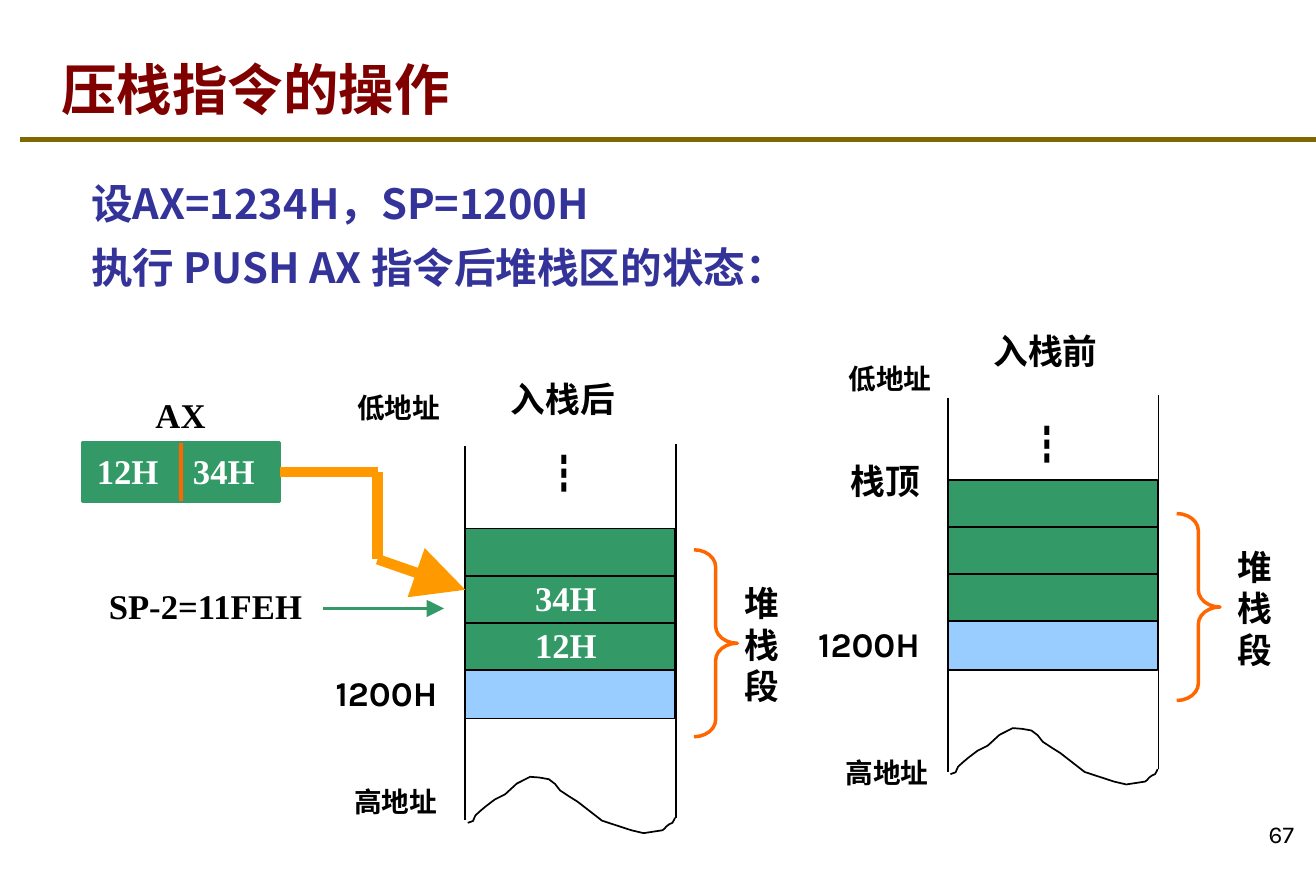
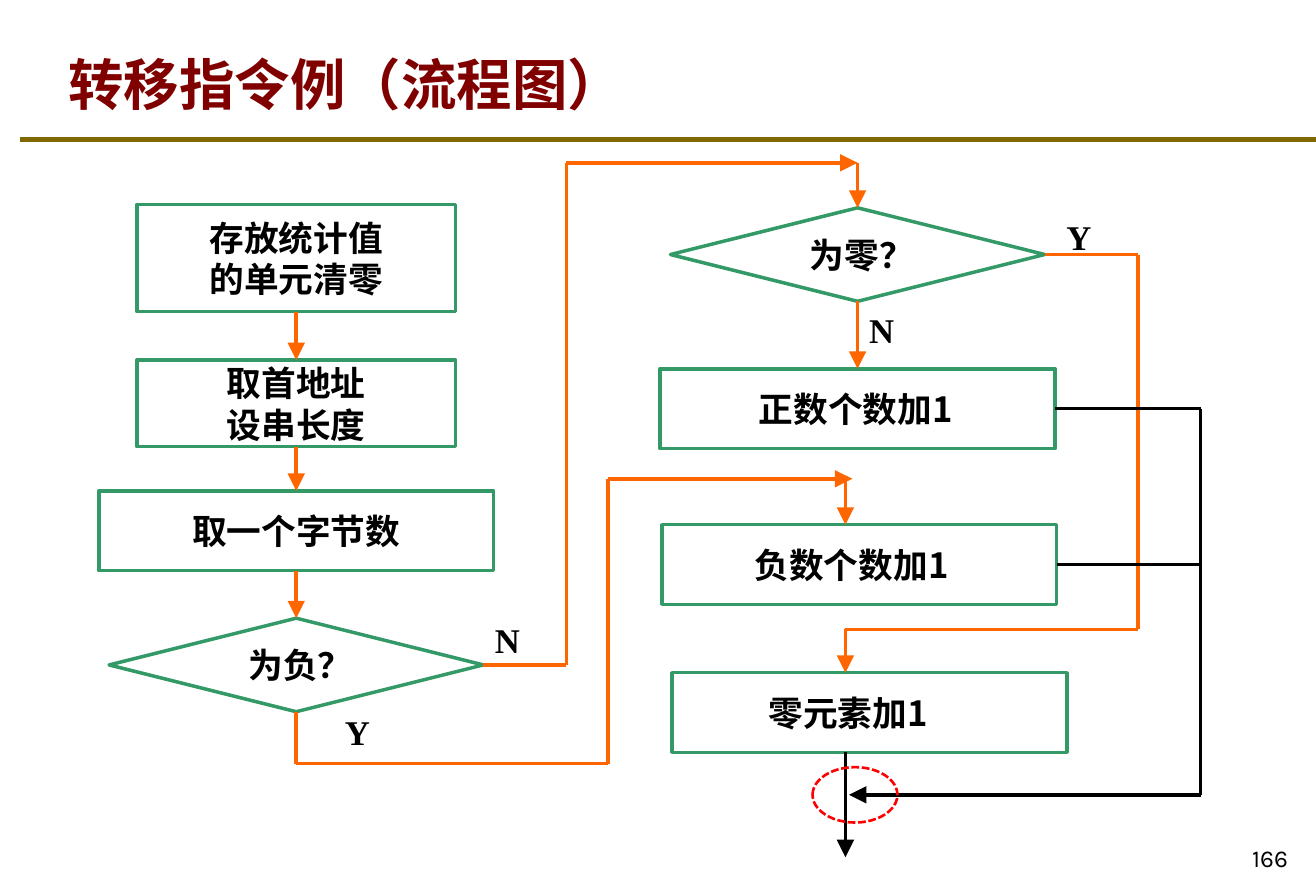
from itertools import pairwise

from pptx import Presentation
from pptx import util as u
from pptx.dml.color import RGBColor
from pptx.enum import dml, shapes, text
from pptx.oxml.xmlchemy import OxmlElement

COLORS = {
    "rule": "806800", "title": "800000", "body": "333399", "black": "000000",
    "white": "FFFFFF", "green": "339966", "blue": "99CCFF", "orange": "FF6600",
    "amber": "FF9900", "red": "FF0000",
}
CHINESE, LATIN, SERIF = "Noto Sans CJK SC", "Karla", "Times New Roman"
SHAPE, ALIGN, ANCHOR = shapes.MSO_SHAPE, text.PP_ALIGN, text.MSO_ANCHOR

# Torn lower edge of a stack, relative to its top cell:
# the start, then cubic curves (two controls and an end point)
TORN_START = (1.4, 169.9)
TORN_CURVES = [
    ((9.4, 167), (0, 171.4), (5.8, 165.6)),
    ((7.2, 163.4), (10.1, 162.7), (11.5, 160.6)),
    ((15.1, 157.7), (18.7, 154.8), (23, 153.4)),
    ((27.4, 148.3), (31.7, 145.4), (37.4, 143.3)),
    ((41, 144), (44.6, 143.3), (48.2, 144.7)),
    ((50.4, 144.7), (53.3, 149.8), (54.7, 151.2)),
    ((59.8, 154.8), (60.5, 154.8), (64.8, 157.7)),
    ((73.4, 167), (83.5, 172.1), (95.8, 174.2)),
    ((103, 176.4), (101.5, 176.4), (113.8, 174.2)),
    ((115.2, 173.5), (115.2, 172.8), (115.9, 172.1)),
    ((117.4, 170.6), (118.1, 170.6), (119.5, 169.9)),
    ((120.2, 169.2), (121, 167), (121, 167)),
]


def rgb(name):
    return RGBColor.from_string(COLORS[name])


def points(*lengths):
    return [u.Pt(length) for length in lengths]


def curve_points(start, curves, steps=2):
    """Points along a chain of cubic curves."""
    result = [start]
    for first, second, end in curves:
        begin = result[-1]
        for step in range(1, steps + 1):
            t = step / steps
            weights = ((1 - t) ** 3, 3 * t * (1 - t) ** 2, 3 * t * t * (1 - t), t ** 3)
            corners = (begin, first, second, end)
            result.append(tuple(sum(w * c[axis] for w, c in zip(weights, corners))
                                for axis in (0, 1)))
    return result


def add_tab_stop(paragraph, position):
    stops, stop = OxmlElement("a:tabLst"), OxmlElement("a:tab")
    stop.set("pos", str(u.Pt(position)))
    stop.set("algn", "l")
    stops.append(stop)
    paragraph._p.get_or_add_pPr().append(stops)


def write(shape, content, font=CHINESE, size=20, color="black", bold=True,
          align=ALIGN.LEFT, anchor=ANCHOR.TOP, margins=(7.2, 3.6, 7.2, 3.6),
          line=None, before=0, tab=None):
    """Fill a shape with text, one paragraph per line of content."""
    frame = shape.text_frame
    frame.word_wrap = True
    frame.vertical_anchor = anchor
    left, top, right, bottom = margins
    if font == CHINESE:
        line = line or 1.2 * size
    frame.margin_left, frame.margin_top = points(left, top)
    frame.margin_right, frame.margin_bottom = points(right, bottom)
    for index, words in enumerate(content.split("\n")):
        paragraph = frame.add_paragraph() if index else frame.paragraphs[0]
        paragraph.alignment = align
        if line:
            paragraph.line_spacing = u.Pt(line)
        if index:
            paragraph.space_before = u.Pt(before)
        if tab:
            add_tab_stop(paragraph, tab)
        run = paragraph.add_run()
        run.text = words
        run.font.name = font
        run.font.size = u.Pt(size)
        run.font.bold = bold
        run.font.color.rgb = rgb(color)
        east_asian = OxmlElement("a:ea")
        east_asian.set("typeface", font)
        run.font._element.append(east_asian)


class Deck:
    """Shared style and the slide being drawn."""

    def __init__(self):
        self.presentation = Presentation()
        self.presentation.slide_width = u.Pt(759.6)
        self.presentation.slide_height = u.Pt(510.48)
        self.slide = None

    def new_slide(self, title, title_at, number, number_at):
        layout = self.presentation.slide_layouts[6]
        self.slide = self.presentation.slides.add_slide(layout)
        self.line((11.5, 80.5), (759.6, 80.5), "rule", 3)
        self.text(title, *title_at, 647, 57, size=32, color="title",
                  anchor=ANCHOR.BOTTOM)
        self.text(number, *number_at, 48, 34, font=LATIN, size=14, bold=False,
                  align=ALIGN.RIGHT, anchor=ANCHOR.BOTTOM)

    def text(self, content, left, top, width, height, **style):
        box = self.slide.shapes.add_textbox(*points(left, top, width, height))
        write(box, content, **style)

    def outline(self, shape, color, width, fill=None):
        shape.shadow.inherit = False
        if fill:
            shape.fill.solid()
            shape.fill.fore_color.rgb = rgb(fill)
        else:
            shape.fill.background()
        shape.line.color.rgb = rgb(color)
        shape.line.width = u.Pt(width)

    def shape(self, kind, left, top, width, height, color, line_width, fill=None):
        shape = self.slide.shapes.add_shape(kind, *points(left, top, width, height))
        self.outline(shape, color, line_width, fill)
        return shape

    def line(self, start, end, color, width, arrow=False):
        """Each end is (x, y), or (shape, side) to join a shape."""
        joined = [not isinstance(place[0], (int, float)) for place in (start, end)]
        places = [(0, 0) if join else place
                  for join, place in zip(joined, (start, end))]
        connector = self.slide.shapes.add_connector(
            shapes.MSO_CONNECTOR.STRAIGHT, *points(*places[0], *places[1]))
        if joined[0]:
            connector.begin_connect(*start)
        if joined[1]:
            connector.end_connect(*end)
        connector.line.color.rgb = rgb(color)
        connector.line.width = u.Pt(width)
        if arrow:
            tail = OxmlElement("a:tailEnd")
            for name, value in (("type", "triangle"), ("w", "lg"), ("len", "lg")):
                tail.set(name, value)
            connector.line._get_or_add_ln().append(tail)
        connector._element.spPr.append(OxmlElement("a:effectLst"))

    def route(self, *places, color="orange", width=2, arrow=True):
        """A chain of lines, with an arrowhead on the last one."""
        legs = list(pairwise(places))
        for index, (start, end) in enumerate(legs):
            self.line(start, end, color, width, arrow and index == len(legs) - 1)

    def curve(self, left, top, start, curves):
        outline_points = [(u.Pt(left + x), u.Pt(top + y))
                          for x, y in curve_points(start, curves)]
        builder = self.slide.shapes.build_freeform(*outline_points[0])
        builder.add_line_segments(outline_points[1:], close=False)
        self.outline(builder.convert_to_shape(), "black", 1)

    def stack(self, caption, left, top, contents, label_shift, brace_top, name_left):
        """A stack segment; left and top place its first cell."""
        for index, content in enumerate(contents):
            cell = self.shape(SHAPE.RECTANGLE, left, top + 27.2 * index, 121, 28,
                              "black", 1, "blue" if index == 3 else "green")
            if content:
                write(cell, content, font=SERIF, color="white", align=ALIGN.CENTER,
                      anchor=ANCHOR.MIDDLE, margins=(0, 0, 5, 3))
        self.line((left, top - 47.5), (left, top + 168.5), "black", 1)
        self.line((left + 121.5, top - 49), (left + 121.5, top + 167), "black", 1)
        self.curve(left, top, TORN_START, TORN_CURVES)
        brace = self.shape(SHAPE.RIGHT_BRACE, left + 132, top + brace_top, 25, 108,
                           "orange", 2)
        brace.adjustments[0] = 0.396
        # Labels around the segment
        shift_x, shift_y = label_shift
        self.text(caption, left + 19.2, top - 90.5, 89, 32)
        self.text("┇", left + 38.2, top - 38.9 + shift_y, 50, 36, size=24, bold=False)
        self.text("堆栈段", left + name_left, top + brace_top + 15, 38, 80)
        self.text("1200H", left - 82, top + 79, 87, 32, font=LATIN)
        for label, x, y in (("低地址", -64.4, -72), ("高地址", -66.2, 155.5)):
            self.text(label, left + x + shift_x, top + y + shift_y, 66, 27, size=16)

    def step(self, content, left, top, width, height, kind=SHAPE.RECTANGLE, shift=0):
        """A flowchart step; shift moves its text to the right."""
        shape = self.shape(kind, left, top, width, height, "green", 2)
        write(shape, content, align=ALIGN.CENTER, anchor=ANCHOR.MIDDLE,
              margins=(max(2 * shift, 0), 0, max(-2 * shift, 0), 0))
        return shape


def push_slide(deck):
    deck.new_slide("压栈指令的操作", (28.4, 16.9), "67", (706, 459.4))
    deck.text("设AX=1234H，SP=1200H\n执行 PUSH AX 指令后堆栈区的状态：",
              45.6, 97.2, 510, 91, size=24, color="body", line=31, before=6)

    # Stack before and after the push
    deck.stack("入栈前", 547.2, 277.2, [""] * 4, (0, 0), 19.4, 160.2)
    deck.stack("入栈后", 268.6, 305.3, ["", "34H", "12H", ""], (-5, -11), 12.2, 154)
    deck.text("栈顶", 484, 262, 66, 32)

    # Register AX and its way into the stack
    register = deck.shape(SHAPE.RECTANGLE, 47.5, 255.6, 114, 34, "green", 2, "green")
    deck.line((104.4, 255.6), (104.4, 289.6), "orange", 2)
    deck.text("12H\t34H", 48.8, 256.3, 122, 32, font=SERIF, color="white", tab=55.5)
    deck.text("AX", 72.7, 224, 63, 32, font=SERIF, align=ALIGN.CENTER)
    deck.route((register, 3), (218, 272.6), (218, 323), (268.6, 340.6),
               color="amber", width=6)

    # Stack pointer
    deck.text("SP-2=11FEH", 55.7, 334, 145, 32, font=SERIF)
    deck.line((186.5, 351.4), (256.3, 351.4), "green", 2, arrow=True)


def flowchart_slide(deck):
    deck.new_slide("转移指令例（流程图）", (32.4, 13.7), "166", (702.5, 473.4))

    # Steps
    clear = deck.step("存放统计值\n的单元清零", 79, 118, 184, 62)
    setup = deck.step("取首地址\n设串长度", 79, 208, 184, 50)
    fetch = deck.step("取一个字节数", 57, 283.5, 228, 46)
    negative = deck.step("为负？", 63, 357, 216, 54, SHAPE.FLOWCHART_DECISION, 2.5)
    zero = deck.step("为零？", 387, 120, 216, 54, SHAPE.FLOWCHART_DECISION, 2.5)
    count_positive = deck.step("正数个数加1", 381, 213, 228, 46, shift=-1)
    count_negative = deck.step("负数个数加1", 382, 303, 228, 46, shift=-4.5)
    deck.step("零元素加1", 388, 388.5, 228, 46, shift=-12.5)

    # Main flow and branches
    for upper, lower in ((clear, setup), (setup, fetch), (fetch, negative),
                         (zero, count_positive)):
        deck.route((upper, 2), (lower, 0))
    deck.route((negative, 3), (327, 384), (327, 94), (495, 94))
    deck.route((495, 94), (zero, 0))
    deck.route((negative, 2), (171, 441), (351, 441), (351, 276.5), (492, 276.5))
    deck.route((488, 276.5), (488, 303))
    deck.route((zero, 3), (657, 147), (657, 363.5), (488, 363.5), (488, 388.5))

    # Joining of the three results
    deck.route((count_positive, 3), (693, 236), (693, 459), (490, 459), color="black")
    deck.route((count_negative, 3), (693, 326), color="black", arrow=False)
    deck.route((488, 434.5), (488, 495), color="black")
    meeting = deck.shape(SHAPE.OVAL, 469, 443, 49, 32, "red", 1.5)
    meeting.line.dash_style = dml.MSO_LINE.SQUARE_DOT

    # Branch labels
    for answer, left, top in (("N", 278.6, 354), ("Y", 192, 407),
                              ("N", 494.6, 175), ("Y", 608.4, 121)):
        deck.text(answer, left, top, 36, 32, font=SERIF)


def main():
    deck = Deck()
    push_slide(deck)
    flowchart_slide(deck)
    deck.presentation.save("out.pptx")


if __name__ == "__main__":
    main()
